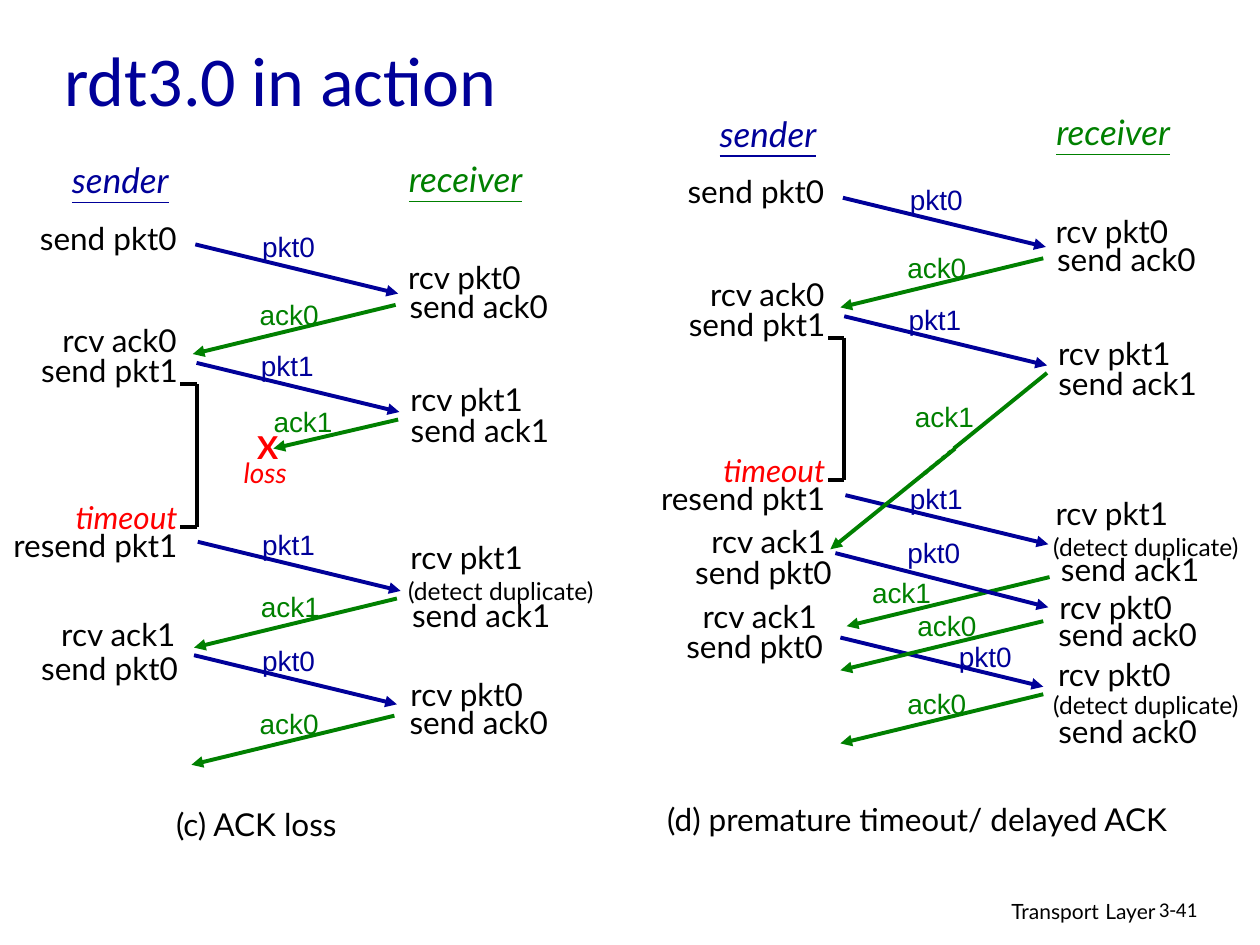
from typing import NamedTuple, Optional

from lxml import etree
from pptx import Presentation
from pptx import util as u
from pptx.dml.color import RGBColor
from pptx.enum import dml, shapes, text
from pptx.oxml.ns import qn

# Positions are columns and rows of a 100 by 75 grid.
WIDTH, HEIGHT = u.Inches(10), u.Inches(7.5)
COLUMN, ROW = WIDTH / 100, HEIGHT / 75

BLUE = RGBColor(0x00, 0x00, 0x99)
GREEN = RGBColor(0x00, 0x80, 0x00)
RED = RGBColor(0xFF, 0x00, 0x00)
BLACK = RGBColor(0x00, 0x00, 0x00)

LEFT, CENTER, RIGHT = text.PP_ALIGN.LEFT, text.PP_ALIGN.CENTER, text.PP_ALIGN.RIGHT


class Style(NamedTuple):
    size: int
    color: RGBColor = BLACK
    font: str = "Lato"
    italic: bool = False
    bold: bool = False
    underline: bool = False


class Label(NamedTuple):
    words: str
    x: float
    y: float
    width: float
    height: float
    style: Style


class Event(NamedTuple):
    """What the sender or the receiver does."""
    words: str
    x: float
    y: float


class Message(NamedTuple):
    """A packet going right or an acknowledgement going left."""
    name: str
    x: float
    y: float
    run: float = 16.1
    drop: float = 3.9
    label_offset: Optional[tuple[float, float]] = None


class Stroke(NamedTuple):
    x1: float
    y1: float
    x2: float
    y2: float
    color: RGBColor
    arrow: bool = False
    dotted: bool = False


EVENT, NOTE = Style(18), Style(14)
TIMEOUT = Style(18, RED, italic=True)
DUPLICATE = "(detect duplicate)"
EVENT_WIDTHS = {"rcv pkt": 10.9, "rcv ack": 11, "send pkt": 12.8, "send ack": 13}

PANEL_SHIFTS = [(0, 0), (51.4, -3.7)]

# Drawn in both panels, at the left panel's position.
SHARED_LABELS = [
    Label("sender", 4.8, 12.1, 9.5, 4.3, Style(20, BLUE, italic=True, underline=True)),
    Label("receiver", 31.5, 12, 10.9, 4.3, Style(20, GREEN, italic=True, underline=True)),
]
SHARED_EVENTS = [
    Event("send pkt0", 2.2, 16.9), Event("rcv pkt0", 31.4, 20),
    Event("send ack0", 31.5, 22.3), Event("rcv ack0", 4, 25),
    Event("send pkt1", 2.3, 27.4), Event("rcv pkt1", 31.6, 29.7),
    Event("send ack1", 31.6, 32.1),
]
SHARED_MESSAGES = [
    Message("pkt0", 15.5, 19.4, label_offset=(4.3, -1.7)), Message("ack0", 31.4, 24.2),
    Message("pkt1", 15.6, 28.8), Message("pkt1", 15.7, 43),
]
TIMER_BRACKET = [
    Stroke(15.6, 30.5, 15.6, 41.8, BLACK),
    Stroke(15.6, 30.5, 14.3, 30.5, BLACK),
    Stroke(15.6, 41.8, 14.3, 41.8, BLACK),
]

LABELS = [
    Label("(c) ACK loss", 13, 63.4, 14.7, 4, EVENT),
    Label("X", 19.4, 33.5, 3.7, 4, Style(18, RED, bold=True)),
    Label("loss", 18.4, 35.7, 5.3, 3.7, Style(16, RED, italic=True)),
    Label("(d) premature timeout/ delayed ACK", 52, 63, 41.6, 4, EVENT),
]
EVENTS = [
    Event("rcv pkt1", 31.6, 42.2), Event(DUPLICATE, 31.4, 45.2),
    Event("send ack1", 31.7, 46.8), Event("rcv ack1", 3.9, 48.3),
    Event("send pkt0", 2.3, 51), Event("rcv pkt0", 31.6, 53.1),
    Event("send ack0", 31.5, 55.3),
    Event("rcv pkt1", 82.8, 38.7), Event(DUPLICATE, 82.6, 41.7),
    Event("send ack1", 83.2, 43.2), Event("rcv ack1", 55.5, 40.9),
    Event("send pkt0", 54.2, 43.4), Event("rcv ack1", 54.8, 46.9),
    Event("send pkt0", 53.5, 49.3), Event("rcv pkt0", 83.1, 46.2),
    Event("send ack0", 83, 48.3), Event("rcv pkt0", 83, 51.5),
    Event(DUPLICATE, 82.6, 54.3), Event("send ack0", 83, 56),
]
MESSAGES = [
    Message("ack1", 31.6, 33.3, 9.9, 2.3, (-10.9, -1.7)),
    Message("ack1", 31.5, 47.5, label_offset=(-11.8, -1.2)),
    Message("pkt0", 15.4, 52, label_offset=(4.4, -1.4)),
    Message("ack0", 31.3, 56.8, label_offset=(-11.7, -1.2)),
    Message("pkt0", 66.7, 50.6, label_offset=(8.4, -0.3)),
    Message("ack1", 83.3, 45.8, label_offset=(-15.1, -0.6)),
    Message("ack0", 82.8, 55.1),
    Message("pkt0", 66.3, 43.9, 16.9, 4.3, (4.7, -1.9)),
    Message("ack0", 82.8, 49.3, label_offset=(-11, -1.5)),
]
DELAYED_ACK = [
    Stroke(83.1, 29.6, 75.7, 35.6, GREEN),
    Stroke(75.5, 35.8, 73.1, 37.8, GREEN, dotted=True),
    Stroke(75.8, 35.6, 65.9, 43.6, GREEN, arrow=True),
]
DELAYED_ACK_LABEL = Label("ack1", 71.3, 31.2, 7.3, 3.7, Style(16, GREEN, "Arial"))


def add_span(para, words: str, style: Style) -> None:
    span = para.add_run()
    span.text = words
    font = span.font
    font.name, font.size, font.color.rgb = style.font, u.Pt(style.size), style.color
    font.italic, font.bold, font.underline = style.italic, style.bold, style.underline


def add_box(page, x: float, y: float, width: float, height: float,
            lines: list[list[tuple[str, Style]]], align=CENTER,
            spacing: float = 1, wrap: bool = False) -> None:
    """Add a text box; each line is a list of (words, style) spans."""
    box = page.shapes.add_textbox(*(round(v) for v in (
        x * COLUMN, y * ROW, width * COLUMN, height * ROW)))
    frame = box.text_frame
    frame.word_wrap = wrap
    frame.auto_size = text.MSO_AUTO_SIZE.NONE
    if not wrap:
        frame.margin_left = frame.margin_right = 0
    for index, spans in enumerate(lines):
        para = frame.add_paragraph() if index else frame.paragraphs[0]
        para.alignment, para.line_spacing = align, spacing
        for words, style in spans:
            add_span(para, words, style)


def add_label(page, label: Label, dx: float = 0, dy: float = 0) -> None:
    add_box(page, label.x + dx, label.y + dy, label.width, label.height,
            [[(label.words, label.style)]])


def add_event(page, event: Event, dx: float = 0, dy: float = 0) -> None:
    if event.words == DUPLICATE:
        width, height, style = 16.7, 3.3, NOTE
    else:
        width, height, style = EVENT_WIDTHS[event.words[:-1]], 4, EVENT
    add_label(page, Label(event.words, event.x, event.y, width, height, style), dx, dy)


def add_stroke(page, stroke: Stroke, dx: float = 0, dy: float = 0) -> None:
    connector = page.shapes.add_connector(shapes.MSO_CONNECTOR.STRAIGHT, *(round(v) for v in (
        (stroke.x1 + dx) * COLUMN, (stroke.y1 + dy) * ROW,
        (stroke.x2 + dx) * COLUMN, (stroke.y2 + dy) * ROW)))
    line = connector.line
    line.color.rgb, line.width = stroke.color, u.Pt(2.25)
    if stroke.dotted:
        line.dash_style = dml.MSO_LINE.ROUND_DOT
    properties = connector._element.spPr
    if stroke.arrow:
        etree.SubElement(properties.find(qn("a:ln")), qn("a:tailEnd"), type="triangle")
    etree.SubElement(properties, qn("a:effectLst"))


def add_message(page, message: Message, dx: float = 0, dy: float = 0) -> None:
    if message.name.startswith("pkt"):
        color, direction, width, offset = BLUE, 1, 6.2, (4.1, -1.6)
    else:
        color, direction, width, offset = GREEN, -1, 6.7, (-11.8, -1.1)
    offset = message.label_offset or offset
    x, y = message.x + dx, message.y + dy
    add_stroke(page, Stroke(x, y, x + direction * message.run, y + message.drop, color, arrow=True))
    add_label(page, Label(message.name, x + offset[0], y + offset[1], width, 3.7,
                          Style(16, color, "Arial")))


def add_title(page, words: str) -> None:
    title = page.shapes.title
    title.left, title.top = round(4.1 * COLUMN), round(2.8 * ROW)
    title.width, title.height = round(43.1 * COLUMN), round(6.8 * ROW)
    frame = title.text_frame
    frame.auto_size = text.MSO_AUTO_SIZE.NONE
    frame.vertical_anchor = text.MSO_ANCHOR.MIDDLE
    frame.paragraphs[0].alignment = LEFT
    add_span(frame.paragraphs[0], words, Style(40, BLUE, "Calibri"))


def main() -> None:
    deck = Presentation()
    deck.slide_width, deck.slide_height = WIDTH, HEIGHT
    page = deck.slides.add_slide(deck.slide_layouts[5])
    add_title(page, "rdt3.0 in action")

    shared = [(add_label, SHARED_LABELS), (add_event, SHARED_EVENTS),
              (add_message, SHARED_MESSAGES), (add_stroke, TIMER_BRACKET)]
    for dx, dy in PANEL_SHIFTS:
        for draw, items in shared:
            for item in items:
                draw(page, item, dx, dy)
        add_box(page, dx, 39.7 + dy, 14.1, 5.5,
                [[("timeout", TIMEOUT)], [("resend pkt1", EVENT)]], RIGHT, 0.75)
    for draw, items in [(add_label, LABELS), (add_event, EVENTS), (add_stroke, DELAYED_ACK),
                        (add_label, [DELAYED_ACK_LABEL]), (add_message, MESSAGES)]:
        for item in items:
            draw(page, item)

    footer = Style(12)
    add_box(page, 61, 70.5, 31.7, 3.1,
            [[("Transport", footer), (" ", NOTE), ("Layer", footer)]], RIGHT, wrap=True)
    add_box(page, 91, 70.7, 7.4, 3, [[("3-41", Style(12, font="Calibri"))]], LEFT, wrap=True)
    deck.save("out.pptx")


if __name__ == "__main__":
    main()
